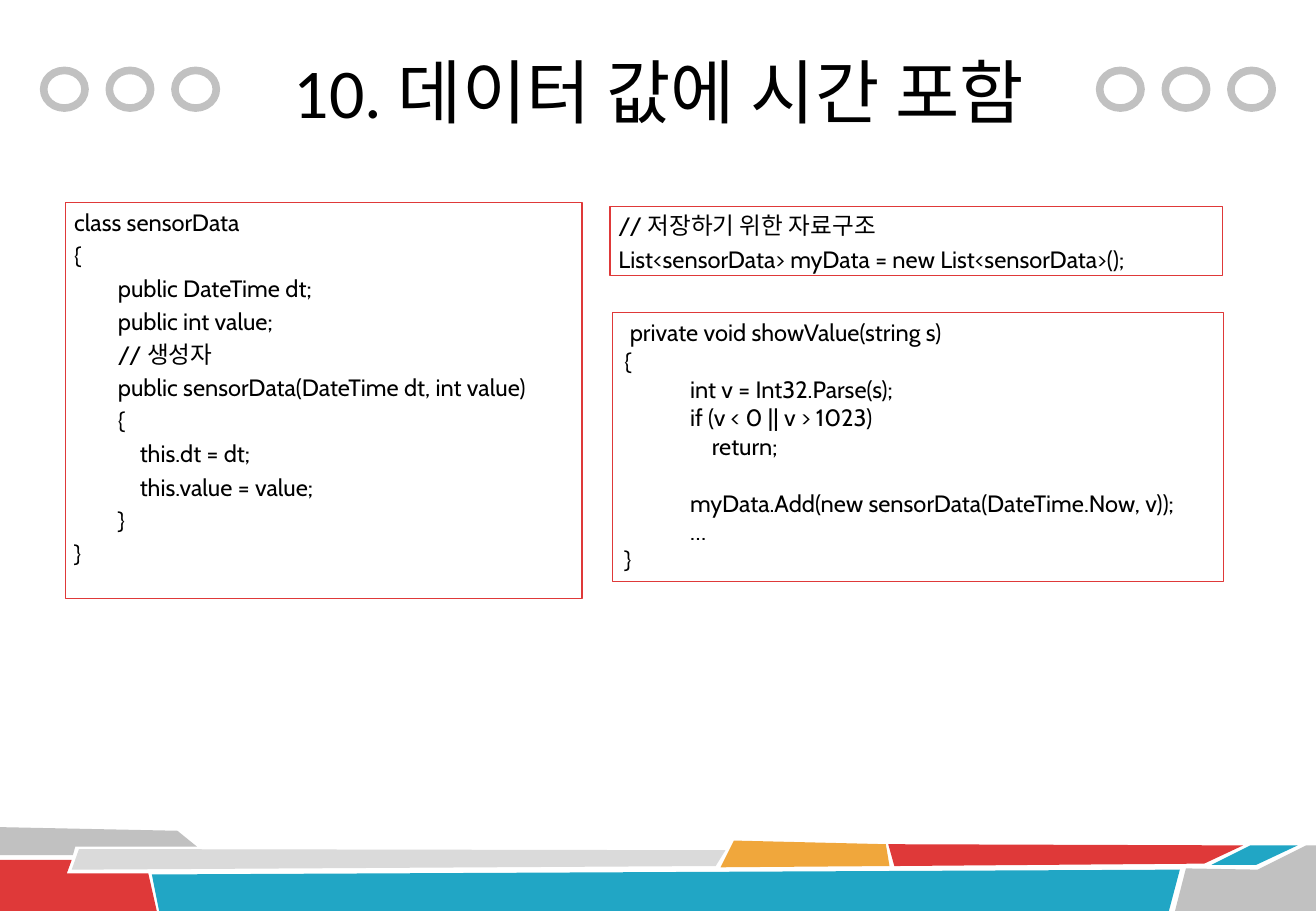
from dataclasses import dataclass

from pptx import Presentation
from pptx.dml.color import RGBColor
from pptx.enum.shapes import MSO_SHAPE
from pptx.enum.text import MSO_ANCHOR, PP_ALIGN
from pptx.util import Pt

PX = 9144  # EMU per px, 100 px to the inch
OVAL, RECTANGLE = MSO_SHAPE.OVAL, MSO_SHAPE.RECTANGLE
LEFT, CENTER = PP_ALIGN.LEFT, PP_ALIGN.CENTER
TOP, MIDDLE = MSO_ANCHOR.TOP, MSO_ANCHOR.MIDDLE


@dataclass(frozen=True)
class Theme:
    black: str = "000000"
    gray: str = "C1C1C1"
    light_gray: str = "DADADA"
    red: str = "DF3939"
    blue: str = "21A6C5"
    orange: str = "F0A73C"
    title_font: str = "Calibri"
    code_font: str = "Cabin"
    title_size: float = 41.4
    code_size: float = 14
    code_gap: float = 2.8
    blank_line: float = 17
    ring_width: float = 4.5
    frame_width: float = 0.75
    indent: int = 18


def write_text(frame, lines, *, font, size, color, align=LEFT, anchor=TOP,
               insets=(7, 4), gap=0, indent=0):
    """Fill a frame with (level, text) or (level, text, space before) lines."""
    frame.word_wrap = True
    frame.vertical_anchor = anchor
    frame.margin_left = frame.margin_right = insets[0] * PX
    frame.margin_top = frame.margin_bottom = insets[1] * PX
    for number, (level, text, *space) in enumerate(lines):
        paragraph = frame.paragraphs[0] if number == 0 else frame.add_paragraph()
        paragraph.alignment = align
        paragraph.space_before = Pt(space[0] if space else gap)
        properties = paragraph._p.get_or_add_pPr()
        properties.set("marL", str(int(level * indent * PX)))
        properties.set("indent", "0")
        run = paragraph.add_run()
        run.text = text
        run.font.name = font
        run.font.size = Pt(size)
        run.font.color.rgb = RGBColor.from_string(color)


class SlideBuilder:
    def __init__(self, slide, theme):
        self.slide = slide
        self.theme = theme

    def polygon(self, color, points):
        builder = self.slide.shapes.build_freeform(*points[0], scale=PX)
        builder.add_line_segments(points[1:], close=True)
        shape = builder.convert_to_shape()
        shape.shadow.inherit = False
        shape.fill.solid()
        shape.fill.fore_color.rgb = RGBColor.from_string(color)
        shape.line.fill.background()

    def outline(self, kind, box, color, width):
        shape = self.slide.shapes.add_shape(kind, *(n * PX for n in box))
        shape.shadow.inherit = False
        shape.fill.background()
        shape.line.color.rgb = RGBColor.from_string(color)
        shape.line.width = Pt(width)
        return shape

    def ring(self, left, top):
        self.outline(OVAL, (left, top, 34, 31), self.theme.gray, self.theme.ring_width)

    def title(self, text, box):
        shape = self.slide.shapes.add_textbox(*(n * PX for n in box))
        write_text(shape.text_frame, [(0, text)], font=self.theme.title_font,
                   size=self.theme.title_size, color=self.theme.black,
                   align=CENTER, anchor=MIDDLE)

    def code(self, box, lines, **text_format):
        theme = self.theme
        shape = self.outline(RECTANGLE, box, theme.red, theme.frame_width)
        write_text(shape.text_frame, lines, font=theme.code_font,
                   size=theme.code_size, color=theme.black,
                   indent=theme.indent, **text_format)


def main():
    theme = Theme()
    presentation = Presentation()
    presentation.slide_width, presentation.slide_height = 1083 * PX, 750 * PX
    slide = presentation.slides.add_slide(presentation.slide_layouts[6])
    builder = SlideBuilder(slide, theme)

    # Footer band
    footer = [
        (theme.gray, [(0, 681), (146, 684), (162, 697), (62, 697), (60, 704), (0, 704)]),
        (theme.red, [(0, 708), (59, 708), (55, 719), (122, 719), (129, 750), (0, 750)]),
        (theme.light_gray, [(65, 699), (597, 700), (589, 713), (59, 716)]),
        (theme.blue, [(125, 720), (971, 716), (962, 750), (131, 750)]),
        (theme.orange, [(604, 692), (729, 695), (732, 713), (593, 714)]),
        (theme.red, [(731, 695), (1023, 696), (991, 711), (736, 713)]),
        (theme.blue, [(1029, 696), (1068, 696), (1034, 712), (997, 712)]),
        (theme.gray, [(976, 715), (1035, 716), (1075, 696), (1083, 696),
                      (1083, 750), (967, 750)]),
    ]
    for color, points in footer:
        builder.polygon(color, points)

    # Title between two groups of rings
    for group_left in (36, 905):
        for position in range(3):
            builder.ring(group_left + 54 * position, 58)
    builder.title("10. 데이터 값에 시간 포함", (190, 12, 704, 125))

    # Data class
    builder.code((54, 167, 425, 326), [
        (0, "class sensorData"),
        (0, "{"),
        (2, "public DateTime dt;"),
        (2, "public int value;"),
        (2, "// 생성자"),
        (2, "public sensorData(DateTime dt, int value)"),
        (2, "{"),
        (3, "this.dt = dt;"),
        (3, "this.value = value;"),
        (2, "}"),
        (0, "}"),
    ], gap=theme.code_gap)

    # Storage list
    builder.code((502, 170, 504, 57), [
        (0, "// 저장하기 위한 자료구조"),
        (0, "List<sensorData> myData = new List<sensorData>();"),
    ], gap=theme.code_gap)

    # Display method
    builder.code((504, 257, 503, 222), [
        (0.25, "private void showValue(string s)"),
        (0, "{"),
        (3, "int v = Int32.Parse(s);"),
        (3, "if (v < 0 || v > 1023)"),
        (4, "return;"),
        (3, "myData.Add(new sensorData(DateTime.Now, v));", theme.blank_line),
        (3, "…"),
        (0, "}"),
    ], insets=(10, 5))

    presentation.save("out.pptx")


if __name__ == "__main__":
    main()
